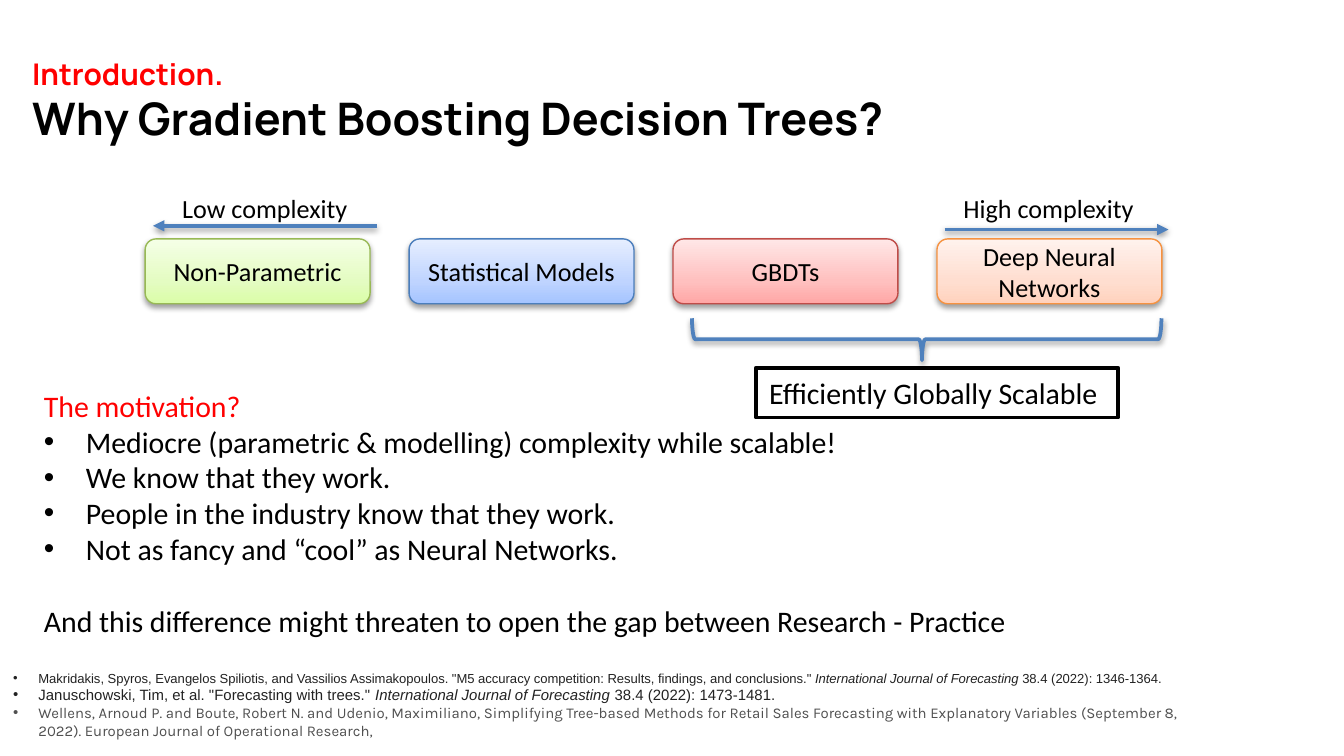
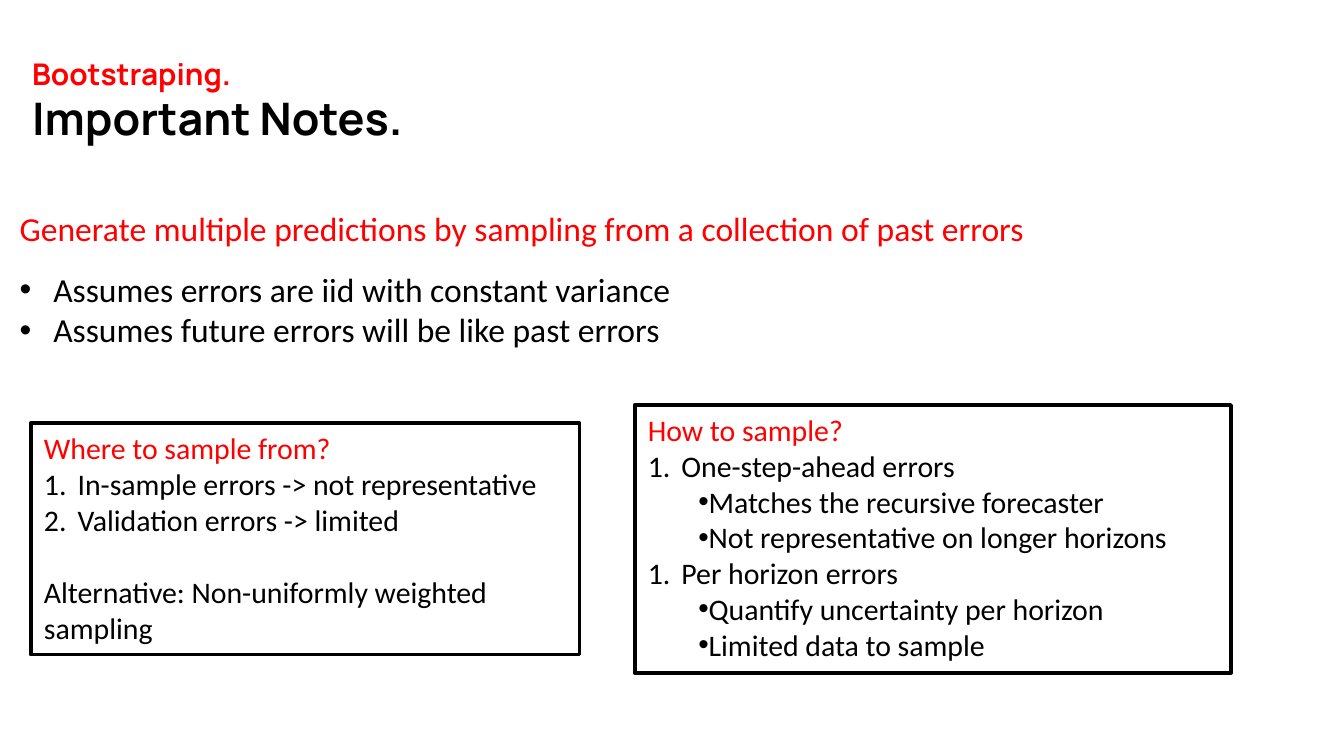
from dataclasses import dataclass
from typing import Optional

import lxml.etree
import pptx
import pptx.dml.color
import pptx.enum.shapes
import pptx.enum.text
import pptx.oxml.ns
import pptx.util

Pt = pptx.util.Pt
qn = pptx.oxml.ns.qn
SHAPES = pptx.enum.shapes.MSO_SHAPE
ALIGN = pptx.enum.text.PP_ALIGN
ANCHOR = pptx.enum.text.MSO_ANCHOR
GROW = pptx.enum.text.MSO_AUTO_SIZE.SHAPE_TO_FIT_TEXT

COLORS = {
    "black": "000000", "white": "FFFFFF", "red": "FF0000", "blue": "4F81BD",
    "citation": "222222", "citation_light": "505050",
}
BLANK_LINE = 19.5  # height of one line of 16 pt body text


# Building blocks
@dataclass(frozen=True)
class Bullet:
    margin: float
    indent: float
    numbered: bool = False


@dataclass(frozen=True)
class Line:
    text: str
    size: float = 16
    color: str = "black"
    bullet: Optional[Bullet] = None
    font: str = "Calibri"
    bold: bool = False
    before: float = 0
    italic: str = ""  # the part of the text set in italics


@dataclass(frozen=True)
class Area:
    left: float
    top: float
    width: float
    height: float

    def lengths(self) -> tuple:
        return Pt(self.left), Pt(self.top), Pt(self.width), Pt(self.height)


@dataclass(frozen=True)
class Model:
    name: str
    outline: str
    shades: tuple  # from bottom to top


@dataclass(frozen=True)
class ComplexityArrow:
    label: str
    label_left: float
    start: float
    end: float
    height: float


TITLE_AREA = Area(10, 26, 515.5, 55.5)
MOTIVATION = Bullet(22.5, -22.5)
REFERENCE = Bullet(13.5, -13.5)
POINT = Bullet(18, -18)
STEP = Bullet(18, -18, numbered=True)
SUBPOINT = Bullet(9, 18)


def rgb(color: str) -> pptx.dml.color.RGBColor:
    return pptx.dml.color.RGBColor.from_string(COLORS.get(color, color))


def add_bullet(para, bullet: Bullet) -> None:
    props = para._p.get_or_add_pPr()
    props.set("marL", str(Pt(bullet.margin)))
    props.set("indent", str(Pt(bullet.indent)))
    face = "+mj-lt" if bullet.numbered else "Arial"
    lxml.etree.SubElement(props, qn("a:buFont"), typeface=face)
    if bullet.numbered:
        lxml.etree.SubElement(props, qn("a:buAutoNum"), type="arabicPeriod")
    else:
        lxml.etree.SubElement(props, qn("a:buChar"), char="•")


def write(frame, lines, align=ALIGN.LEFT, anchor=ANCHOR.TOP, grow: bool = True) -> None:
    frame.word_wrap = True
    frame.vertical_anchor = anchor
    if grow:
        frame.auto_size = GROW
    for number, line in enumerate(lines):
        para = frame.add_paragraph() if number else frame.paragraphs[0]
        if line.bullet:
            add_bullet(para, line.bullet)
        para.alignment = align
        if line.before:
            para.space_before = Pt(line.before)
        para.font.name = line.font
        para.font.size = Pt(line.size)
        para.font.bold = line.bold
        para.font.color.rgb = rgb(line.color)
        if line.italic:
            start, end = line.text.split(line.italic)
            for text in (start, line.italic, end):
                span = para.add_run()
                span.text = text
                if text == line.italic:
                    span.font.italic = True
        else:
            para.add_run().text = line.text


def add_text(page, area: Area, *lines: Line) -> None:
    write(page.shapes.add_textbox(*area.lengths()).text_frame, lines)


def add_shadow(shape) -> None:
    props = shape.element.spPr
    effects = props.find(qn("a:effectLst"))
    if effects is None:
        effects = lxml.etree.SubElement(props, qn("a:effectLst"))
    shadow = lxml.etree.SubElement(
        effects, qn("a:outerShdw"), blurRad=str(Pt(3.15)), dist=str(Pt(1.57)),
        dir="5400000", rotWithShape="0")
    black = lxml.etree.SubElement(shadow, qn("a:srgbClr"), val=COLORS["black"])
    lxml.etree.SubElement(black, qn("a:alpha"), val="38000")


def set_line(shape, color: str, width: float) -> None:
    shape.line.color.rgb = rgb(color)
    shape.line.width = Pt(width)


def add_shape(page, kind, area: Area, color: str, width: float):
    shape = page.shapes.add_shape(kind, *area.lengths())
    set_line(shape, color, width)
    shape.shadow.inherit = False
    return shape


def add_frame(page, area: Area, *lines: Line) -> None:
    box = add_shape(page, SHAPES.RECTANGLE, area, "black", 2)
    box.fill.solid()
    box.fill.fore_color.rgb = rgb("white")
    write(box.text_frame, lines)


def add_model(page, area: Area, model: Model) -> None:
    box = add_shape(page, SHAPES.ROUNDED_RECTANGLE, area, model.outline, 0.75)
    box.fill.gradient()
    box.fill.gradient_angle = 90
    stops = box.element.spPr.find(qn("a:gradFill")).find(qn("a:gsLst"))
    middle = lxml.etree.SubElement(stops, qn("a:gs"), pos="0")
    lxml.etree.SubElement(middle, qn("a:srgbClr"), val=COLORS["white"])
    for stop, position, shade in zip(box.fill.gradient_stops, (0, 0.35, 1), model.shades):
        stop.position = position
        stop.color.rgb = rgb(shade)
    add_shadow(box)
    write(box.text_frame, [Line(model.name, 14)], ALIGN.CENTER, ANCHOR.MIDDLE, grow=False)


def add_arrow(page, arrow: ComplexityArrow) -> None:
    line = page.shapes.add_connector(
        pptx.enum.shapes.MSO_CONNECTOR.STRAIGHT,
        Pt(arrow.start), Pt(arrow.height), Pt(arrow.end), Pt(arrow.height))
    set_line(line, "blue", 2)
    lxml.etree.SubElement(line.line._get_or_add_ln(), qn("a:tailEnd"), type="triangle")
    add_shadow(line)
    add_text(page, Area(arrow.label_left, 99.5, 127.5, 24.5), Line(arrow.label, 14))


def add_page(deck, section: str, heading: str):
    page = deck.slides.add_slide(deck.slide_layouts.get_by_name("Title Only"))
    title = page.shapes.title
    title.left, title.top, title.width, title.height = TITLE_AREA.lengths()
    write(title.text_frame, [
        Line(section, 16, "red", font="Manrope", bold=True),
        Line(heading, 24, font="Manrope", bold=True),
    ])
    return page


# Slide 1
MODELS = (
    Model("Non-Parametric", "98B955", ("DAFDA7", "E4FCC2", "F5FFE7")),
    Model("Statistical Models", "4B7EBC", ("A4C4FF", "BFD4FF", "E6EEFF")),
    Model("GBDTs", "BF4C48", ("FFA6A5", "FFC0BF", "FFE7E7")),
    Model("Deep Neural Networks", "F69240", ("FFD2BD", "FFDED0", "FFF2ED")),
)
ARROWS = (
    ComplexityArrow("Low complexity", 90.5, 202, 82, 121),
    ComplexityArrow("High complexity", 509, 506, 626, 123),
)
JOURNAL = "International Journal of Forecasting"


def build_introduction(deck) -> None:
    page = add_page(deck, "Introduction.", "Why Gradient Boosting Decision Trees?")
    add_text(
        page, Area(16.5, 204, 620.5, 143.5),
        Line("The motivation?", color="red"),
        Line("Mediocre (parametric & modelling) complexity while scalable!", bullet=MOTIVATION),
        Line("We know that they work.", bullet=MOTIVATION),
        Line("People in the industry know that they work.", bullet=MOTIVATION),
        Line("Not as fancy and “cool” as Neural Networks.", bullet=MOTIVATION),
        Line("And this difference might threaten to open the gap between Research - Practice",
             before=BLANK_LINE))
    add_text(
        page, Area(0, 355.5, 649.5, 44.5),
        Line("Makridakis, Spyros, Evangelos Spiliotis, and Vassilios Assimakopoulos. "
             "\"M5 accuracy competition: Results, findings, and conclusions.\" "
             f"{JOURNAL} 38.4 (2022): 1346-1364.",
             7, "citation", REFERENCE, "Arial", italic=JOURNAL),
        Line("Januschowski, Tim, et al. \"Forecasting with trees.\" "
             f"{JOURNAL} 38.4 (2022): 1473-1481.",
             8, "citation", REFERENCE, "Arial", italic=JOURNAL),
        Line("Wellens, Arnoud P. and Boute, Robert N. and Udenio, Maximiliano, Simplifying "
             "Tree-based Methods for Retail Sales Forecasting with Explanatory Variables "
             "(September 8, 2022). European Journal of Operational Research,",
             8, "citation_light", REFERENCE, "Karla"))

    # Scale of model families
    for arrow in ARROWS:
        add_arrow(page, arrow)
    for column, model in enumerate(MODELS):
        add_model(page, Area(77.75 + 141.4 * column, 128, 120.5, 34.75), model)

    # Brace under the scalable families
    brace = add_shape(page, SHAPES.LEFT_BRACE, Area(485.25, 56, 22.5, 251.5), "blue", 2)
    brace.rotation = 270
    brace.adjustments[0] = 0.08
    brace.adjustments[1] = 0.49
    brace.fill.background()
    add_shadow(brace)
    add_frame(page, Area(405, 197, 194, 26.75), Line("Efficiently Globally Scalable"))


# Slide 2
def build_bootstrapping(deck) -> None:
    page = add_page(deck, "Bootstraping.", "Important Notes.")
    add_text(
        page, Area(3.5, 108, 672.5, 29),
        Line("Generate multiple predictions by sampling from a collection of past errors",
             18, "red"))
    add_text(
        page, Area(3.5, 140.5, 443, 51),
        Line("Assumes errors are iid with constant variance", 18, bullet=POINT),
        Line("Assumes future errors will be like past errors", 18, bullet=POINT))

    # Sampling questions
    add_frame(
        page, Area(16.5, 226.75, 294, 124),
        Line("Where to sample from?", color="red"),
        Line("In-sample errors -> not representative", bullet=STEP),
        Line("Validation errors -> limited", bullet=STEP),
        Line("Alternative: Non-uniformly weighted sampling", before=BLANK_LINE))
    add_frame(
        page, Area(340, 217, 319.5, 143.5),
        Line("How to sample?", color="red"),
        Line("One-step-ahead errors", bullet=STEP),
        Line("Matches the recursive forecaster", bullet=SUBPOINT),
        Line("Not representative on longer horizons", bullet=SUBPOINT),
        Line("Per horizon errors", bullet=STEP),
        Line("Quantify uncertainty per horizon", bullet=SUBPOINT),
        Line("Limited data to sample", bullet=SUBPOINT))


def main() -> None:
    deck = pptx.Presentation()
    deck.slide_width, deck.slide_height = Pt(720), Pt(405)
    build_introduction(deck)
    build_bootstrapping(deck)
    deck.save("out.pptx")


if __name__ == "__main__":
    main()
